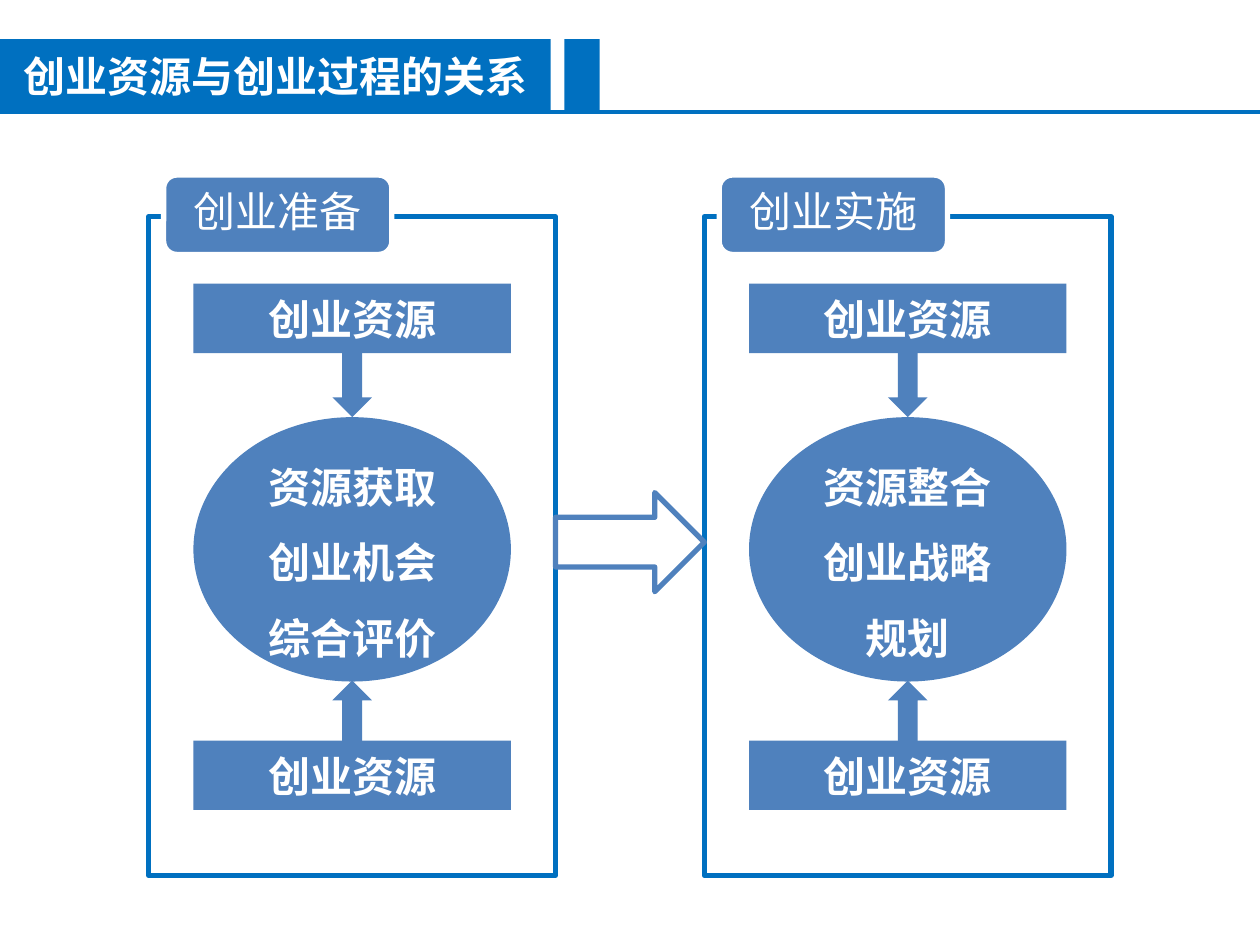
from lxml import etree
from pptx import Presentation
from pptx import util as u
from pptx.dml.color import RGBColor
from pptx.enum import shapes, text
from pptx.oxml import ns

COLOURS = {"banner": "0070C0", "block": "4F81BD", "white": "FFFFFF"}
CJK_FONT = "Noto Sans CJK SC"
KIND = shapes.MSO_SHAPE
RESOURCE = "创业资源"
STAGES = [
    (3, "创业准备", ["资源获取", "创业机会", "综合评价"]),
    (14.12 + 0.08, "创业实施", ["资源整合创业战略规划"]),
]


def colour(name):
    """Return the named colour."""
    return RGBColor.from_string(COLOURS[name])


def write(shape, lines, font=CJK_FONT, bold=True, spacing=None, anchor=text.MSO_ANCHOR.MIDDLE):
    """Fill a shape with centred white paragraphs."""
    frame = shape.text_frame
    frame.word_wrap = True
    frame.auto_size = text.MSO_AUTO_SIZE.NONE
    frame.vertical_anchor = anchor
    for index, line in enumerate(lines):
        para = frame.add_paragraph() if index else frame.paragraphs[0]
        para.alignment = text.PP_ALIGN.CENTER
        para.space_before = u.Pt(0)
        if spacing:
            para.line_spacing = spacing
        span = para.add_run()
        span.text = line
        span.font.size = u.Pt(24)
        span.font.bold = bold
        span.font.color.rgb = colour("white")
        span.font.name = font
        east_asian = etree.SubElement(span.font._element, ns.qn("a:ea"))
        east_asian.set("typeface", CJK_FONT)


def add_block(page, kind, left, top, width, height, fill="block", line=None):
    """Add a preset shape with an optional fill and outline."""
    box = page.shapes.add_shape(kind, u.Cm(left), u.Cm(top), u.Cm(width), u.Cm(height))
    box.shadow.inherit = False
    if fill:
        box.fill.solid()
        box.fill.fore_color.rgb = colour(fill)
    else:
        box.fill.background()
    if line:
        box.line.color.rgb = colour(line)
        box.line.width = u.Pt(3)
    else:
        box.line.fill.background()
    return box


def add_header(page, heading):
    """Format the title banner with its accent bar and rule."""
    title = page.shapes.title
    title.left, title.top = u.Cm(0), u.Cm(0.79)
    title.width, title.height = u.Cm(11.1), u.Cm(1.47)
    title.fill.solid()
    title.fill.fore_color.rgb = colour("banner")
    write(title, [heading], font="Arial")
    add_block(page, KIND.RECTANGLE, 11.38, 0.79, 0.71, 1.47, fill="banner")
    rule = page.shapes.add_connector(
        shapes.MSO_CONNECTOR.STRAIGHT, u.Cm(0), u.Cm(2.26), u.Cm(25.4), u.Cm(2.26)
    )
    rule.line.color.rgb = colour("banner")
    rule.line.width = u.Pt(2)
    etree.SubElement(rule._element.spPr, ns.qn("a:effectLst"))


def add_stage(page, left, name, activities):
    """Add a framed stage with resources feeding its activities."""
    add_block(page, KIND.RECTANGLE, left, 4.37, 8.2, 13.28, fill=None, line="banner")
    tab = add_block(page, KIND.ROUNDED_RECTANGLE, left + 0.3, 3.53, 4.6, 1.6, line="white")
    write(tab, [name], bold=False, anchor=text.MSO_ANCHOR.TOP)
    inner = left + 0.9
    core = add_block(page, KIND.OVAL, inner, 8.41, 6.4, 5.33)
    write(core, activities, spacing=1.5)
    for top in (5.72, 14.93):
        write(add_block(page, KIND.RECTANGLE, inner, top, 6.4, 1.4), [RESOURCE])
    for kind, top in ((KIND.DOWN_ARROW, 7.11), (KIND.UP_ARROW, 13.72)):
        add_block(page, kind, inner + 2.8, top, 0.8, 1.3)


def main():
    """Build and save the slide."""
    deck = Presentation()
    deck.slide_width, deck.slide_height = u.Cm(25.4), u.Cm(19.05)
    page = deck.slides.add_slide(deck.slide_layouts[5])
    add_header(page, "创业资源与创业过程的关系")
    for left, name, activities in STAGES:
        add_stage(page, left, name, activities)
    add_block(page, KIND.RIGHT_ARROW, 11.2, 9.93, 3, 2, fill=None, line="block")
    deck.save("out.pptx")


if __name__ == "__main__":
    main()
